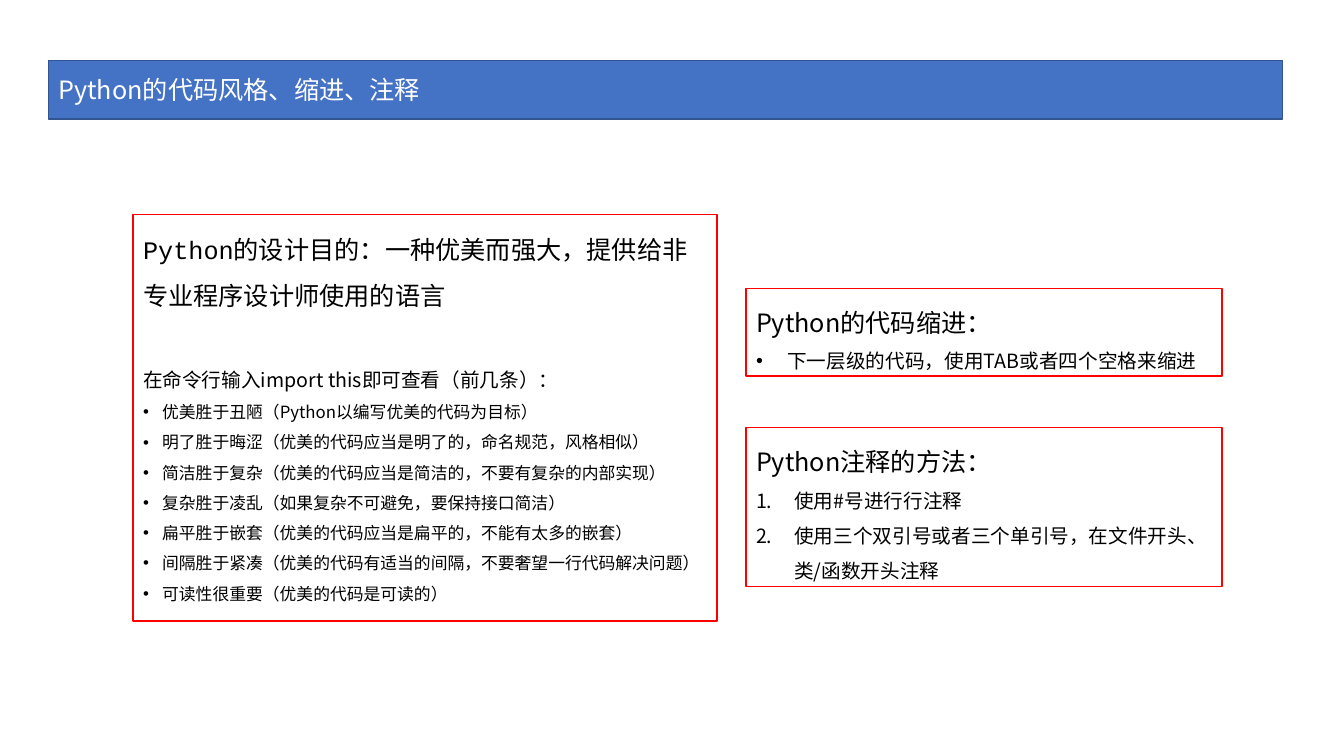
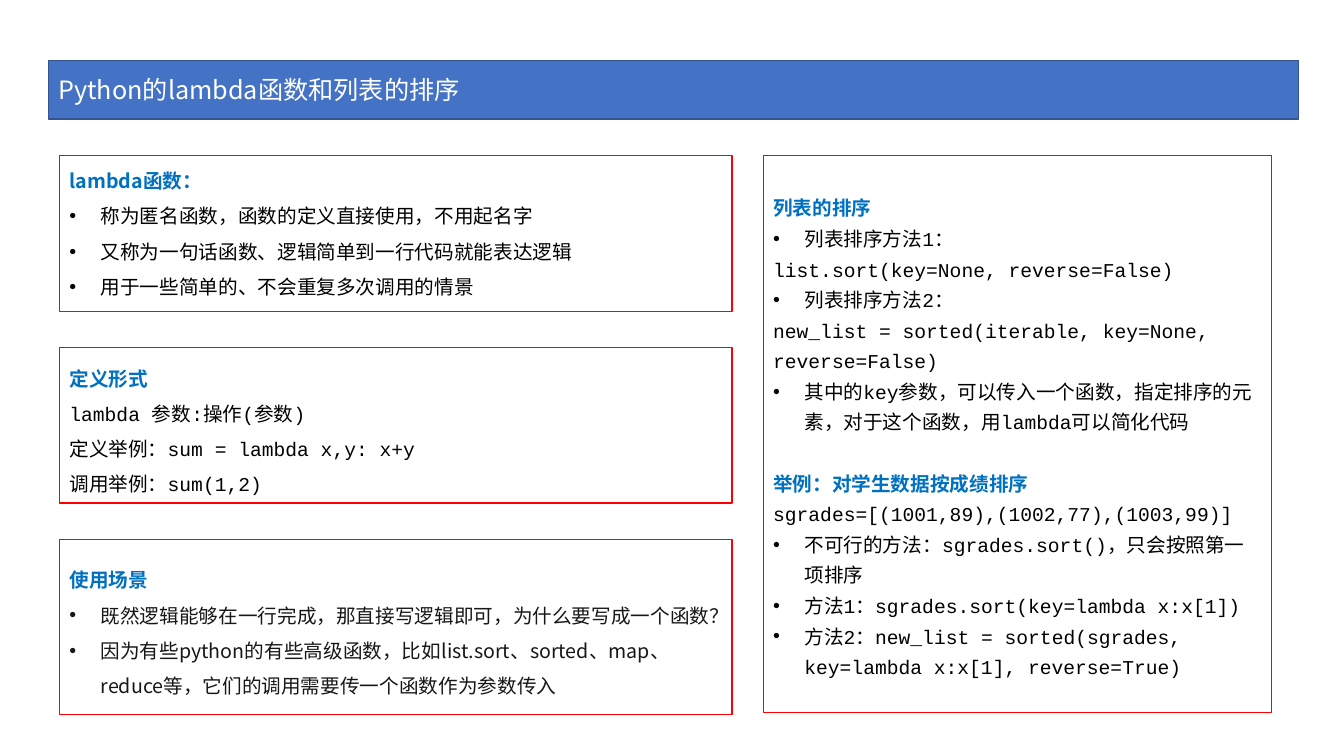
import dataclasses

import lxml.etree
import pptx
import pptx.dml.color
import pptx.enum.shapes
import pptx.enum.text
import pptx.oxml.ns
import pptx.util

Inches = pptx.util.Inches
Pt = pptx.util.Pt
ANCHOR = pptx.enum.text.MSO_ANCHOR

COLORS = {
    "band": "4472C4",
    "band_line": "325491",
    "panel": "FFFFFF",
    "panel_line": "FF0000",
    "title": "FFFFFF",
    "text": "000000",
    "soft": "181717",
    "heading": "0070C0",
}
SANS = "Noto Sans CJK SC"
MONO = "Courier New"


@dataclasses.dataclass
class Style:
    """Look of one paragraph; hang is the bullet indent in inches."""
    size: int = 14
    font: str = SANS
    color: str = "text"
    bold: bool = False
    bullet: str = ""
    hang: float = 0
    before: int = 0


# Paragraph styles
TITLE = Style(18, color="title")
LEAD = Style(18)
MONO_LEAD = Style(18, MONO)
INTRO = Style(before=33)
SMALL_BULLET = Style(12, bullet="•", hang=0.19)
BULLET = Style(bullet="•", hang=0.31)
SOFT_BULLET = dataclasses.replace(BULLET, color="soft")
MONO_BULLET = dataclasses.replace(BULLET, font=MONO)
NUMBER = Style(bullet="1.", hang=0.38)
HEADING = Style(color="heading", bold=True)
MONO_HEADING = dataclasses.replace(HEADING, font=MONO)
NEXT_HEADING = dataclasses.replace(MONO_HEADING, before=22)
CODE = Style(font=MONO)


def rgb(name):
    return pptx.dml.color.RGBColor.from_string(COLORS[name])


def add_child(parent, tag, **attributes):
    child = lxml.etree.SubElement(parent, pptx.oxml.ns.qn(tag))
    for key, value in attributes.items():
        child.set(key, value)


def write_paragraph(para, text, style, spacing):
    para.alignment = pptx.enum.text.PP_ALIGN.LEFT
    para.line_spacing = spacing
    para.space_before = Pt(style.before)
    if style.bullet:
        properties = para._p.get_or_add_pPr()
        properties.set("marL", str(Inches(style.hang)))
        properties.set("indent", str(-Inches(style.hang)))
        if style.bullet == "1.":
            add_child(properties, "a:buFont", typeface=SANS)
            add_child(properties, "a:buAutoNum", type="arabicPeriod")
        else:
            add_child(properties, "a:buFont", typeface="Arial")
            add_child(properties, "a:buChar", char=style.bullet)
    span = para.add_run()
    span.text = text
    span.font.size = Pt(style.size)
    span.font.bold = style.bold
    span.font.color.rgb = rgb(style.color)
    span.font.name = style.font
    add_child(span._r.get_or_add_rPr(), "a:ea", typeface=SANS)


def add_box(page, at, fill, line, lines, spacing=1.0, anchor=ANCHOR.MIDDLE, bottom=0.05):
    """Draw a framed rectangle holding (style, text) lines."""
    box = page.shapes.add_shape(
        pptx.enum.shapes.MSO_SHAPE.RECTANGLE, *(Inches(length) for length in at))
    box.shadow.inherit = False
    box.fill.solid()
    box.fill.fore_color.rgb = rgb(fill)
    box.line.color.rgb = rgb(line)
    box.line.width = Pt(1)
    frame = box.text_frame
    frame.word_wrap = True
    frame.vertical_anchor = anchor
    frame.margin_left = frame.margin_right = Inches(0.1)
    frame.margin_top, frame.margin_bottom = Inches(0.05), Inches(bottom)
    for index, (style, text) in enumerate(lines):
        para = frame.add_paragraph() if index else frame.paragraphs[0]
        write_paragraph(para, text, style, spacing)


def add_title_band(page, width, text):
    add_box(page, (0.48, 0.6, width, 0.58), "band", "band_line", [(TITLE, text)])


def add_panel(page, at, lines, spacing=1.5, **options):
    add_box(page, at, "panel", "panel_line", lines, spacing, **options)


def build_style_page(page):
    add_title_band(page, 12.24, "Python的代码风格、缩进、注释")
    # Design goals
    add_panel(page, (1.32, 2.13, 5.79, 4.03), [
        (MONO_LEAD, "Python的设计目的：一种优美而强大，提供给非专业程序设计师使用的语言"),
        (INTRO, "在命令行输入import this即可查看（前几条）："),
        (SMALL_BULLET, "优美胜于丑陋（Python以编写优美的代码为目标）"),
        (SMALL_BULLET, "明了胜于晦涩（优美的代码应当是明了的，命名规范，风格相似）"),
        (SMALL_BULLET, "简洁胜于复杂（优美的代码应当是简洁的，不要有复杂的内部实现）"),
        (SMALL_BULLET, "复杂胜于凌乱（如果复杂不可避免，要保持接口简洁）"),
        (SMALL_BULLET, "扁平胜于嵌套（优美的代码应当是扁平的，不能有太多的嵌套）"),
        (SMALL_BULLET, "间隔胜于紧凑（优美的代码有适当的间隔，不要奢望一行代码解决问题）"),
        (SMALL_BULLET, "可读性很重要（优美的代码是可读的）"),
    ], anchor=ANCHOR.TOP)
    # Indentation and comments
    left, width = 7.4, 4.72
    add_panel(page, (left, 2.86, width, 0.87), [
        (LEAD, "Python的代码缩进："),
        (BULLET, "下一层级的代码，使用TAB或者四个空格来缩进"),
    ])
    add_panel(page, (left, 4.24, width, 1.58), [
        (LEAD, "Python注释的方法："),
        (NUMBER, "使用#号进行行注释"),
        (NUMBER, "使用三个双引号或者三个单引号，在文件开头、类/函数开头注释"),
    ])


def build_lambda_page(page):
    add_title_band(page, 12.4, "Python的lambda函数和列表的排序")
    # Left column: definition, form and use, stacked with equal gaps
    left, top, width, gap = 0.59, 1.54, 6.67, 0.36
    column = [
        (1.55, 0.16, [
            (HEADING, "lambda函数："),
            (BULLET, "称为匿名函数，函数的定义直接使用，不用起名字"),
            (BULLET, "又称为一句话函数、逻辑简单到一行代码就能表达逻辑"),
            (BULLET, "用于一些简单的、不会重复多次调用的情景"),
        ]),
        (1.54, 0.05, [
            (MONO_HEADING, "定义形式"),
            (CODE, "lambda 参数:操作(参数)"),
            (CODE, "定义举例：sum = lambda x,y: x+y"),
            (CODE, "调用举例：sum(1,2)"),
        ]),
        (1.74, 0.05, [
            (MONO_HEADING, "使用场景"),
            (SOFT_BULLET, "既然逻辑能够在一行完成，那直接写逻辑即可，为什么要写成一个函数？"),
            (SOFT_BULLET, "因为有些python的有些高级函数，比如list.sort、sorted、map、reduce等，"
                          "它们的调用需要传一个函数作为参数传入"),
        ]),
    ]
    y = top
    for height, bottom, lines in column:
        add_panel(page, (left, y, width, height), lines, bottom=bottom)
        y += height + gap
    # Right column: sorting
    add_panel(page, (7.57, top, 5.04, 5.53), [
        (MONO_HEADING, "列表的排序"),
        (MONO_BULLET, "列表排序方法1："),
        (CODE, "list.sort(key=None, reverse=False)"),
        (MONO_BULLET, "列表排序方法2："),
        (CODE, "new_list = sorted(iterable, key=None, reverse=False)"),
        (MONO_BULLET, "其中的key参数，可以传入一个函数，指定排序的元素，"
                      "对于这个函数，用lambda可以简化代码"),
        (NEXT_HEADING, "举例：对学生数据按成绩排序"),
        (CODE, "sgrades=[(1001,89),(1002,77),(1003,99)]"),
        (MONO_BULLET, "不可行的方法：sgrades.sort()，只会按照第一项排序"),
        (MONO_BULLET, "方法1：sgrades.sort(key=lambda x:x[1])"),
        (MONO_BULLET, "方法2：new_list = sorted(sgrades, key=lambda x:x[1], reverse=True)"),
    ], spacing=1.3)


def main():
    deck = pptx.Presentation()
    deck.slide_width, deck.slide_height = Inches(13.33), Inches(7.5)
    blank = deck.slide_layouts[6]
    for build in (build_style_page, build_lambda_page):
        build(deck.slides.add_slide(blank))
    deck.save("out.pptx")


if __name__ == "__main__":
    main()
